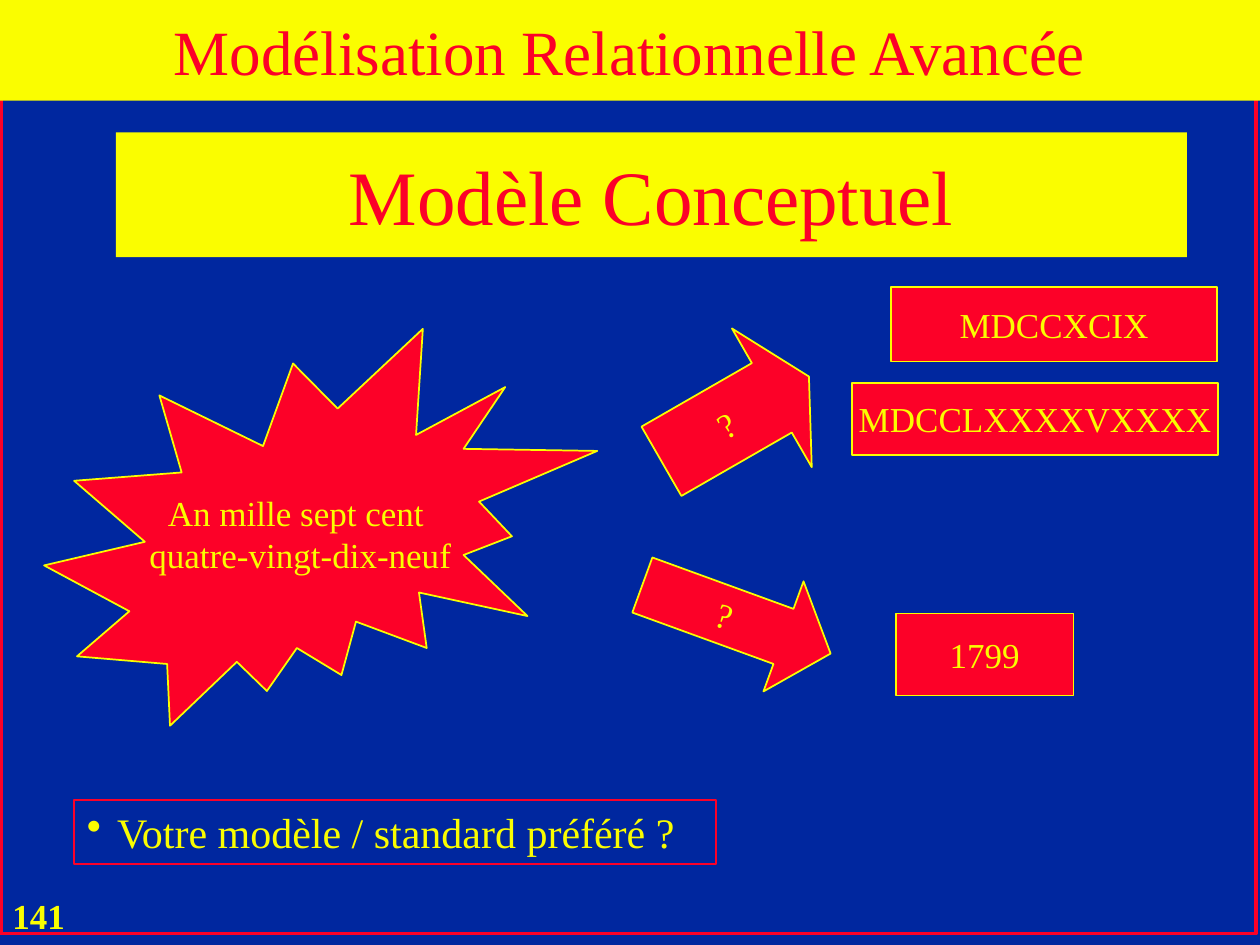
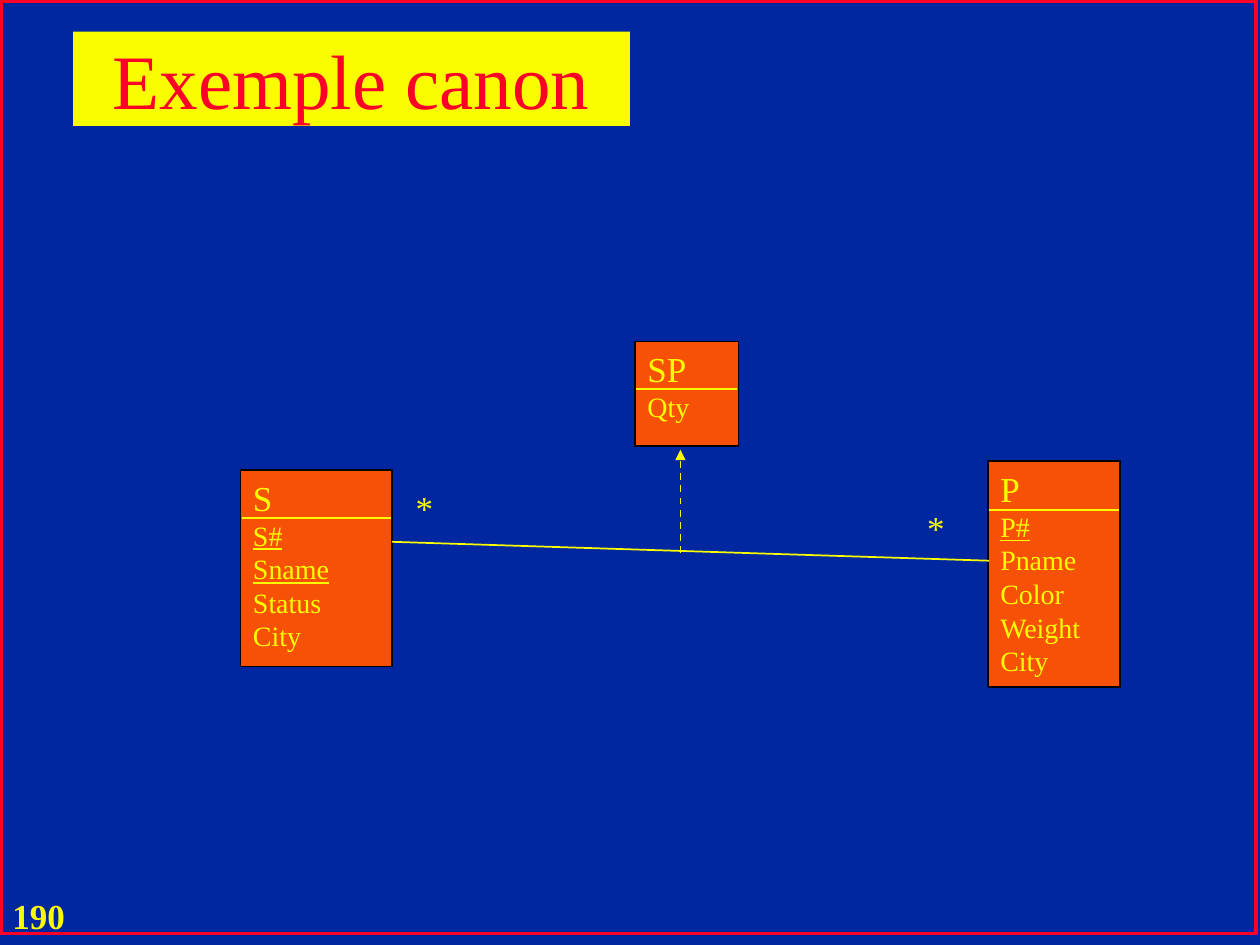
from lxml import etree
from pptx import Presentation
from pptx import util as u
from pptx.dml.color import RGBColor
from pptx.enum import dml, shapes, text
from pptx.oxml.ns import qn

BLUE = RGBColor(0x00, 0x27, 0x9F)
YELLOW = RGBColor(0xFA, 0xFD, 0x00)
RED = RGBColor(0xFC, 0x01, 0x28)
ORANGE = RGBColor(0xF7, 0x51, 0x07)
BLACK = RGBColor(0x00, 0x00, 0x00)
FONT = "Times New Roman"
LEFT, CENTER = text.PP_ALIGN.LEFT, text.PP_ALIGN.CENTER
TOP, MIDDLE = text.MSO_ANCHOR.TOP, text.MSO_ANCHOR.MIDDLE
SHAPE = shapes.MSO_SHAPE


def write(tf, content, size=20, color=YELLOW, bold=False, align=LEFT,
          anchor=TOP, wrap=False, head_size=None, underlined=()):
    tf.auto_size = text.MSO_AUTO_SIZE.NONE
    tf.word_wrap = wrap
    tf.vertical_anchor = anchor
    tf.margin_left = tf.margin_right = u.Inches(0.1)
    tf.margin_top = tf.margin_bottom = u.Inches(0.05)
    for i, line in enumerate(content.split("\n")):
        p = tf.add_paragraph() if i else tf.paragraphs[0]
        p.alignment = align
        r = p.add_run()
        r.text = line
        r.font.name = FONT
        r.font.size = u.Pt(head_size if head_size and i == 0 else size)
        r.font.bold = bold
        r.font.color.rgb = color
        if line in underlined:
            r.font.underline = True


class Deck:
    def __init__(self):
        self.prs = Presentation()
        self.prs.slide_width = u.Inches(10)
        self.prs.slide_height = u.Inches(7.5)
        self.s = None

    def slide(self, title, title_box, number):
        self.s = self.prs.slides.add_slide(self.prs.slide_layouts[5])
        fill = self.s.background.fill
        fill.solid()
        fill.fore_color.rgb = BLUE
        self.title(title, *title_box)
        self.shape(0.01, 0.01, 9.96, 7.4, fill=None, line=RED, width=2)
        self.label(number, 0, 7.05, 0.69, bold=True)

    def title(self, content, x, y, w, h):
        sp = self.s.shapes.title
        sp.left, sp.top, sp.width, sp.height = map(u.Inches, (x, y, w, h))
        sp.fill.solid()
        sp.fill.fore_color.rgb = YELLOW
        write(sp.text_frame, content, size=44, color=RED, align=CENTER,
              anchor=MIDDLE, wrap=True)

    def shape(self, x, y, w, h, kind=SHAPE.RECTANGLE, fill=RED, line=YELLOW,
              width=1, rotation=0):
        sp = self.s.shapes.add_shape(kind, *map(u.Inches, (x, y, w, h)))
        sp.shadow.inherit = False
        sp.rotation = rotation
        if fill is None:
            sp.fill.background()
        else:
            sp.fill.solid()
            sp.fill.fore_color.rgb = fill
        if line is None:
            sp.line.fill.background()
        else:
            sp.line.color.rgb = line
            sp.line.width = u.Pt(width)
        return sp

    def block(self, content, x, y, w, h, **style):
        sp = self.shape(x, y, w, h, **style)
        write(sp.text_frame, content, align=CENTER, anchor=MIDDLE)
        return sp

    def arrow(self, x, y, w, h, rotation, head):
        sp = self.block("?", x, y, w, h, kind=SHAPE.RIGHT_ARROW,
                        rotation=rotation)
        sp.adjustments[0] = 0.5
        sp.adjustments[1] = head

    def banner(self, content):
        sp = self.shape(0, 0, 10, 0.8, fill=YELLOW, line=None)
        write(sp.text_frame, content, size=36, color=RED, align=CENTER,
              anchor=MIDDLE, wrap=True)

    def bullet(self, content, x, y, w, h):
        sp = self.shape(x, y, w, h, fill=None, line=RED)
        write(sp.text_frame, content, size=24, wrap=True)
        pPr = sp.text_frame.paragraphs[0]._p.get_or_add_pPr()
        indent = u.Inches(0.24)
        pPr.set("marL", str(indent))
        pPr.set("indent", str(-indent))
        etree.SubElement(pPr, qn("a:buChar")).set("char", "•")

    def label(self, content, x, y, w, bold=False):
        sp = self.s.shapes.add_textbox(*map(u.Inches, (x, y, w, 0.43)))
        write(sp.text_frame, content, bold=bold)

    def line(self, x1, y1, x2, y2, dashed_arrow=False):
        cn = self.s.shapes.add_connector(
            shapes.MSO_CONNECTOR.STRAIGHT, *map(u.Inches, (x1, y1, x2, y2)))
        cn.line.color.rgb = YELLOW
        cn.line.width = u.Pt(1)
        if dashed_arrow:
            cn.line.dash_style = dml.MSO_LINE.DASH
            ln = cn.line._get_or_add_ln()
            etree.SubElement(ln, qn("a:tailEnd")).set("type", "triangle")
        etree.SubElement(cn._element.spPr, qn("a:effectLst"))

    def entity(self, name, fields, x, y, w, h, rule_y, keys=(), border=1):
        sp = self.shape(x, y, w, h, fill=ORANGE, line=BLACK, width=border)
        write(sp.text_frame, "\n".join([name, *fields]), size=16,
              head_size=20, underlined=keys)
        self.line(x + 0.01, rule_y, x + w - 0.01, rule_y)


def conceptual_model(deck):
    deck.slide("Modèle Conceptuel", (0.92, 1.05, 8.5, 0.99), "141")
    deck.block("An mille sept cent \nquatre-vingt-dix-neuf",
               0.35, 2.61, 4.39, 3.15, kind=SHAPE.EXPLOSION2)
    deck.arrow(5.16, 2.69, 1.35, 1.27, rotation=330.1, head=0.267)
    deck.arrow(5.05, 4.45, 1.59, 0.93, rotation=20, head=0.428)
    deck.block("MDCCXCIX", 7.07, 2.28, 2.59, 0.59)
    deck.block("MDCCLXXXXVXXXX", 6.76, 3.04, 2.91, 0.57)
    deck.block("1799", 7.11, 4.87, 1.41, 0.65)
    deck.bullet("Votre modèle / standard préféré ?", 0.59, 6.35, 5.09, 0.51)
    deck.banner("Modélisation Relationnelle Avancée")


def canonical_example(deck):
    deck.slide("Exemple canon", (0.58, 0.25, 4.42, 0.75), "190")
    deck.entity("S", ["S#", "Sname", "Status", "City"],
                1.91, 3.73, 1.2, 1.56, rule_y=4.11, keys=("S#", "Sname"))
    deck.entity("P", ["P#", "Pname", "Color", "Weight", "City"],
                7.84, 3.66, 1.05, 1.79, rule_y=4.05, keys=("P#",))
    deck.entity("SP", ["Qty"], 5.04, 2.71, 0.82, 0.83, rule_y=3.09,
                border=0.75)
    deck.line(3.11, 4.3, 7.85, 4.45)
    deck.line(5.4, 4.39, 5.4, 3.57, dashed_arrow=True)
    deck.label("*", 3.2, 3.81, 0.39)
    deck.label("*", 7.26, 3.97, 0.44)


def main():
    deck = Deck()
    conceptual_model(deck)
    canonical_example(deck)
    deck.prs.save("out.pptx")


if __name__ == "__main__":
    main()
